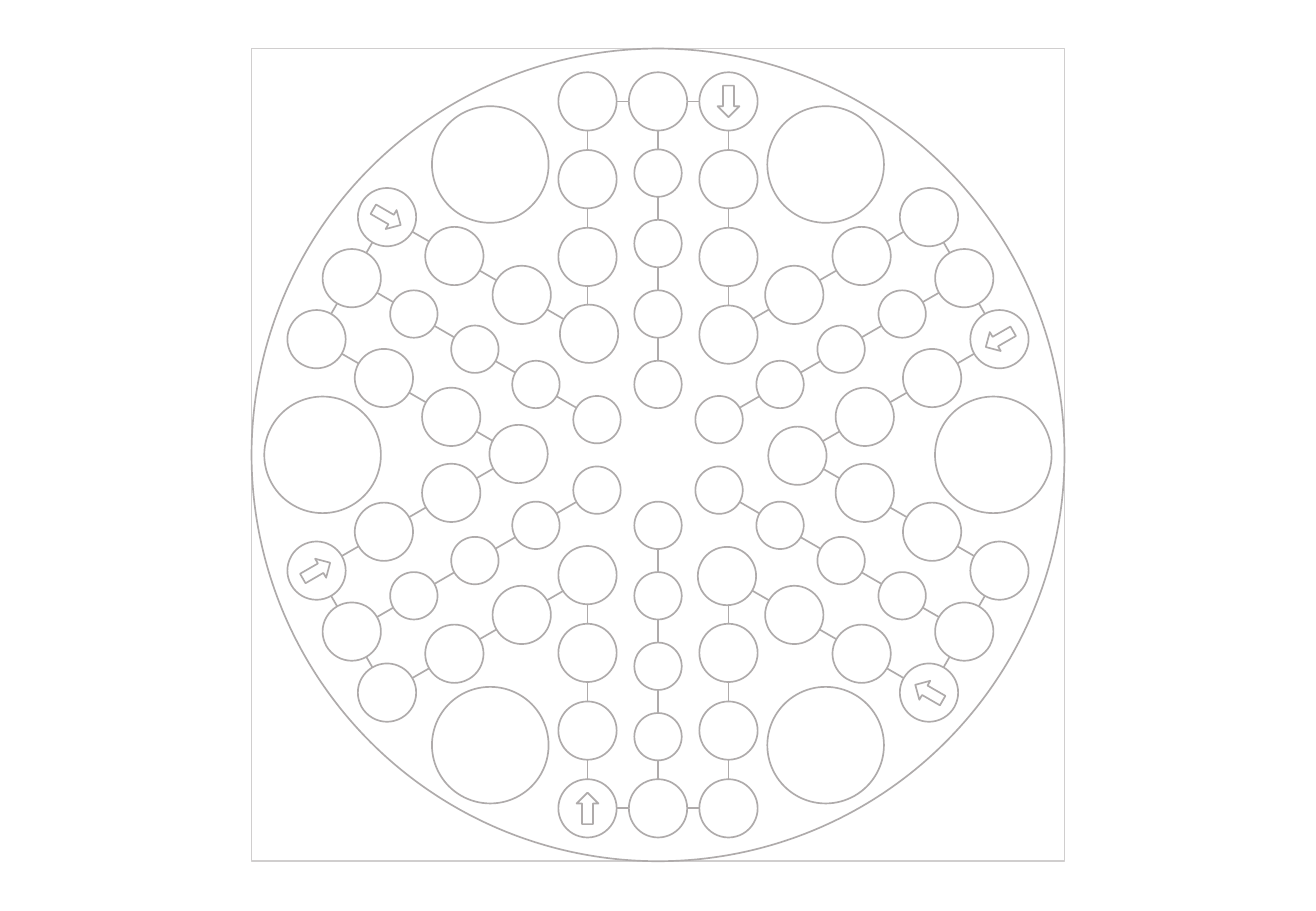
"""Draw a round chip with six spokes of linked wells."""
from math import cos, radians, sin

from pptx import Presentation
from pptx.dml.color import RGBColor
from pptx.enum.shapes import MSO_CONNECTOR as Link, MSO_SHAPE as Kind
from pptx.oxml.ns import qn
from pptx.util import Inches, Pt

WHITE, GREY, PALE = "FFFFFF", "AFABAB", "D0CECE"
STEP = 0.58
ROW = 0.64
RIM = 5 * STEP + 0.01
SMALL, WELL, POD = 0.39, 0.48, 0.96


def color(text):
    """Turn a hex string into a colour."""
    return RGBColor.from_string(text)


def add_form(shapes, kind, mid, size, edge=GREY, turn=0):
    """Add a white outlined shape centred on a point."""
    (x, y), (wide, high) = mid, size
    form = shapes.add_shape(kind, Inches(x - wide / 2), Inches(y - high / 2),
                            Inches(wide), Inches(high))
    form.shadow.inherit = False
    form.fill.solid()
    form.fill.fore_color.rgb = color(WHITE)
    form.line.color.rgb = color(edge)
    form.line.width = Pt(1)
    form.rotation = turn
    return form


def add_disc(shapes, mid, size):
    """Add a circle centred on a point."""
    return add_form(shapes, Kind.OVAL, mid, (size, size))


def add_link(shapes, start, end):
    """Add a thin line between two points."""
    link = shapes.add_connector(Link.STRAIGHT, *map(Inches, start + end))
    link.line.color.rgb = color(GREY)
    link.line.width = Pt(1)
    props = link._element.spPr
    props.append(props.makeelement(qn("a:effectLst"), {}))


def center(box):
    """Return the middle of a box."""
    left, top, wide, high = box
    return left + wide / 2, top + high / 2


def spin(mid, side, out, turn):
    """Turn a sideways and outward offset clockwise about a centre."""
    angle = radians(turn)
    return (mid[0] + side * cos(angle) - out * sin(angle),
            mid[1] + side * sin(angle) + out * cos(angle))


def draw_base(shapes, box):
    """Draw the square frame and the round plate inside it."""
    mid, size = center(box), box[2:]
    add_form(shapes, Kind.RECTANGLE, mid, size, PALE)
    add_form(shapes, Kind.OVAL, mid, size)


def draw_spoke(shapes, box, turn):
    """Draw one spoke: links, three lanes of wells and the inlet arrow."""
    mid = center(box)
    parts = shapes.add_group_shape().shapes

    def at(side, out):
        """Place an offset on this spoke."""
        return spin(mid, side, out, turn)

    for side, near in ((STEP, 1.23), (-STEP, 1.23), (0, 0.78)):
        add_link(parts, at(side, RIM - WELL / 2), at(side, near))
    add_link(parts, at(-0.34, RIM), at(0.34, RIM))

    for rank in range(1, 5):
        add_disc(parts, at(0, STEP * rank), SMALL)
    add_disc(parts, at(0, RIM), WELL)
    for side, count in ((STEP, 3), (-STEP, 4)):
        for rank in range(count):
            add_disc(parts, at(side, RIM - ROW * rank), WELL)
    add_form(parts, Kind.RIGHT_ARROW, at(-STEP, RIM), (0.26, 0.18),
             turn=(270 + turn) % 360)


def draw_pods(shapes, box):
    """Draw the six large wells between the spokes."""
    for turn in range(30, 390, 60):
        add_disc(shapes, spin(center(box), 0, 2.76, turn), POD)


def main():
    """Build and save the slide."""
    deck = Presentation()
    deck.slide_width, deck.slide_height = Inches(10.83), Inches(7.5)
    shapes = deck.slides.add_slide(deck.slide_layouts[6]).shapes
    box = (2.07, 0.4, 6.69, 6.69)
    draw_base(shapes, box)
    for turn in range(0, 360, 60):
        draw_spoke(shapes, box, turn)
    draw_pods(shapes, box)
    deck.save("out.pptx")


main()
